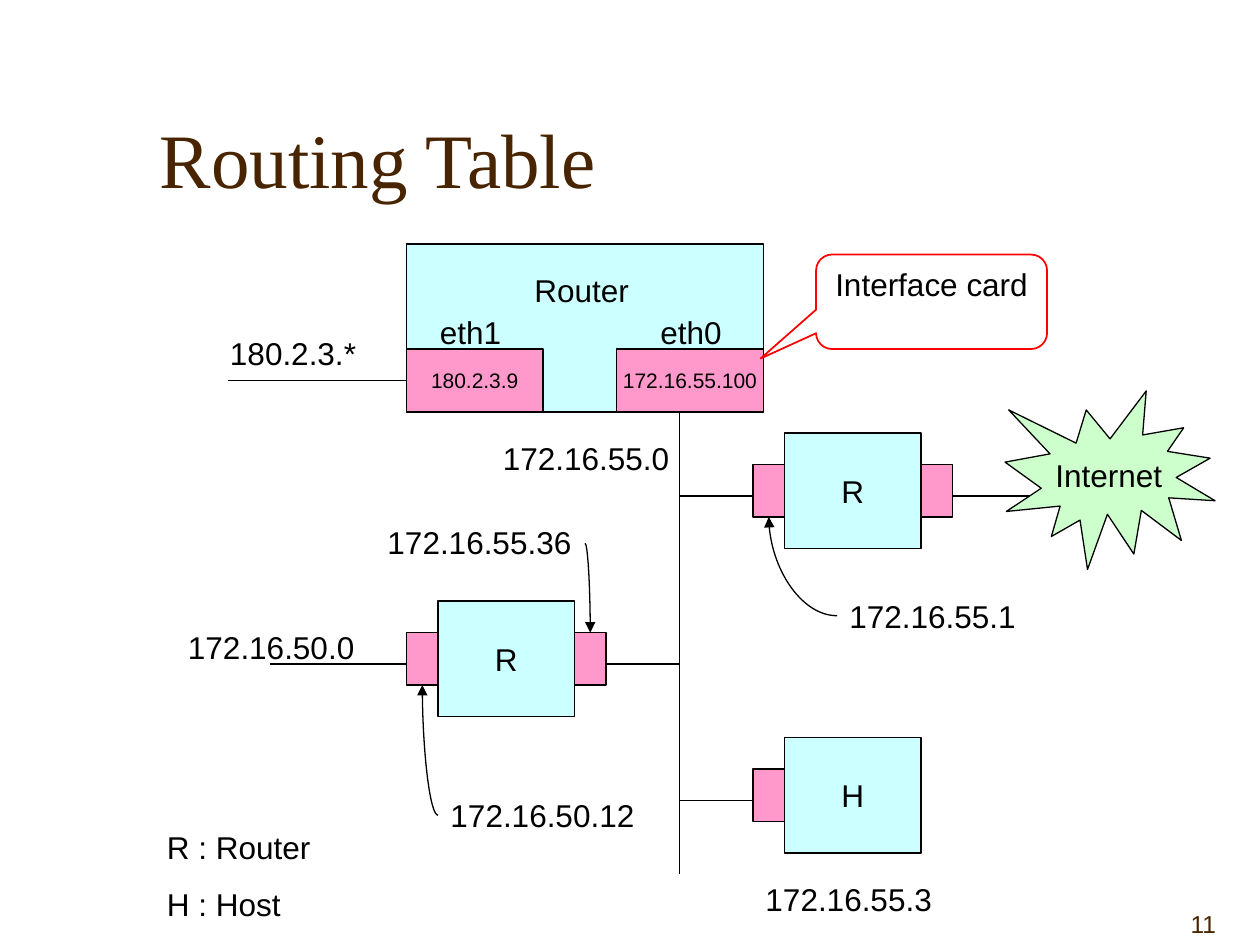
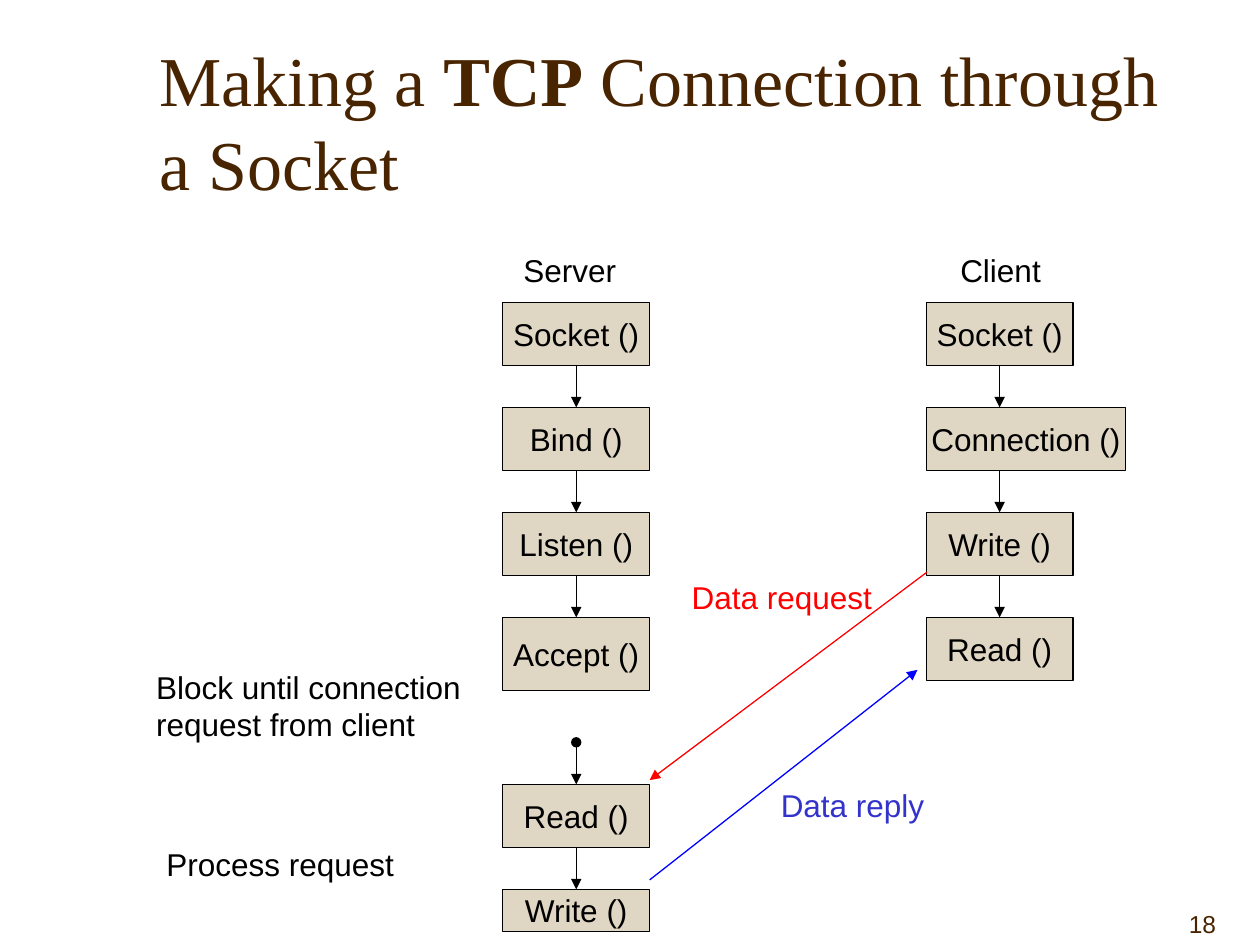
from dataclasses import dataclass
from pptx import Presentation
from pptx.dml.color import RGBColor
from pptx.enum.shapes import MSO_CONNECTOR, MSO_SHAPE
from pptx.enum.text import MSO_ANCHOR, MSO_AUTO_SIZE, PP_ALIGN
from pptx.oxml.ns import qn
from pptx.util import Inches, Pt
from lxml.etree import SubElement


@dataclass(frozen=True)
class Theme:
    black: str = "000000"
    brown: str = "482400"
    cyan: str = "CCFFFF"
    pink: str = "FF99CC"
    green: str = "CCFFCC"
    sand: str = "DFD6C3"
    red: str = "FF0000"
    blue: str = "0000FF"
    indigo: str = "3333CC"
    head_font: str = "Times New Roman"
    body_font: str = "Arial"
    body: int = 18
    small: int = 12
    number: int = 14
    para_gap: float = 11.2
    line: float = 0.75


T = Theme()
CELL = 1 / 12  # grid cell in inches
LABEL_H = 4.8

# Network slide, in cells: col, row, width, height
NETWORK_ORIGIN = (0.06, 0.02)
ROUTER = (38, 23, 34, 16)
ETH1 = ("180.2.3.9", (38, 33, 13, 6))
ETH0 = ("172.16.55.100", (58, 33, 14, 6))
NODES = [("R", 74, 41, "both"), ("R", 41, 57, "both"), ("H", 74, 70, "left")]
NODE_W, NODE_H = 13, 11
CARD_W, CARD_H = 3, 5
INTERNET = (95, 37, 20, 17)
CALLOUT = (77, 24, 22, 9)
CALLOUT_SHAPE = (-0.74, 0.6, 0.17)
WIRES = [
    ((64, 39), (64, 83)),
    ((57, 63), (64, 63)),
    ((64, 47), (71, 47)),
    ((64, 76), (71, 76)),
    ((25, 63), (38, 63)),
    ((90, 47), (98, 47)),
]
POINTERS = [((79, 58.4), (72.5, 49)), ((55, 51.5), (55.5, 60)), ((41, 77.4), (39.5, 65))]
NETWORK_LABELS = [
    ("Router", 49, 25, 12),
    ("eth1", 40, 29, 9),
    ("eth0", 61, 29, 9),
    ("180.2.3.*", 20, 31, 15),
    ("172.16.55.0", 46, 41, 19),
    ("172.16.55.1", 79, 56, 19),
    ("172.16.55.3", 71, 83, 20),
    ("172.16.55.36", 35, 49, 20),
    ("172.16.50.12", 41, 75, 20),
    ("172.16.50.0", 16, 59, 20),
    ("R : Router\nH : Host", 14, 78, 20),
]

# Socket slide, in cells from the first server box: name, row, width, height
SOCKET_ORIGIN = (3.99, 2.4)
CLIENT_COL = 40.33
STEP_W = 14
SERVER_STEPS = [
    ("Socket ()", 0, 14, 6),
    ("Bind ()", 10, 14, 6),
    ("Listen ()", 20, 14, 6),
    ("Accept ()", 30, 14, 7),
    ("Read ()", 45.9, 14, 6),
    ("Write ()", 55.9, 14, 4),
]
CLIENT_STEPS = [
    ("Socket ()", 0, 14, 6),
    ("Connection ()", 10, 19, 6),
    ("Write ()", 20, 14, 6),
    ("Read ()", 30, 14, 6),
]
WAIT_ROW = 41.9
MESSAGES = [
    ((40.4, 25.7), (14, 45.5), T.red),
    ((14, 55), (39.5, 35), T.blue),
]
SOCKET_LABELS = [
    ("Server", 0.8, -5.5, 12, T.black),
    ("Client", 42.4, -5.5, 11, T.black),
    ("Block until connection request from client", -34.2, 34.2, 33, T.black),
    ("Process request", -33.2, 51.1, 25, T.black),
    ("Data request", 16.8, 25.7, 20, T.red),
    ("Data reply", 25.3, 45.5, 17, T.indigo),
]


def rgb(code):
    return RGBColor.from_string(code)


def style(p, size=T.body, color=T.black, font=T.body_font):
    for r in p.runs:
        r.font.size, r.font.name = Pt(size), font
        r.font.color.rgb = rgb(color)


class Board:
    """A slide whose parts are placed in grid cells from an origin."""

    def __init__(self, prs, origin, title, title_size, number):
        self.s = prs.slides.add_slide(prs.slide_layouts[6])
        self.origin = origin
        w, h = prs.slide_width / Inches(1), prs.slide_height / Inches(1)
        tf = self.frame(1.17, 0.42, 0.85 * w, h / 6)
        tf.vertical_anchor = MSO_ANCHOR.BOTTOM
        p = tf.paragraphs[0]
        for text, bold in title:
            r = p.add_run()
            r.text, r.font.bold = text, bold
        style(p, title_size, T.brown, T.head_font)
        tf = self.frame(7.67, h - 0.5, 2.08, 0.5)
        tf.vertical_anchor = MSO_ANCHOR.BOTTOM
        tf.text = str(number)
        p = tf.paragraphs[0]
        p.alignment = PP_ALIGN.RIGHT
        style(p, T.number, T.brown)

    def at(self, col, row):
        x, y = self.origin
        return Inches(x + col * CELL), Inches(y + row * CELL)

    def frame(self, *inches):
        tf = self.s.shapes.add_textbox(*map(Inches, inches)).text_frame
        tf.word_wrap = True
        return tf

    def label(self, text, col, row, width, color=T.black):
        box = self.s.shapes.add_textbox(
            *self.at(col, row), Inches(width * CELL), Inches(LABEL_H * CELL))
        tf = box.text_frame
        tf.word_wrap = True
        tf.auto_size = MSO_AUTO_SIZE.SHAPE_TO_FIT_TEXT
        tf.text = text
        for i, p in enumerate(tf.paragraphs):
            if i:
                p.space_before = Pt(T.para_gap)
            style(p, color=color)

    def shape(self, cells, fill, text="", size=T.body, kind=MSO_SHAPE.RECTANGLE,
              line=T.black, width=T.line):
        col, row, w, h = cells
        sp = self.s.shapes.add_shape(
            kind, *self.at(col, row), Inches(w * CELL), Inches(h * CELL))
        sp.shadow.inherit = False
        if fill:
            sp.fill.solid()
            sp.fill.fore_color.rgb = rgb(fill)
        else:
            sp.fill.background()
        sp.line.color.rgb, sp.line.width = rgb(line), Pt(width)
        if text:
            tf = sp.text_frame
            tf.word_wrap = False
            tf.vertical_anchor = MSO_ANCHOR.MIDDLE
            tf.text = text
            p = tf.paragraphs[0]
            p.alignment = PP_ALIGN.CENTER
            style(p, size)
        return sp

    def line(self, start, end, color=T.black, head=None, tail=None,
             kind=MSO_CONNECTOR.STRAIGHT):
        c = self.s.shapes.add_connector(kind, *self.at(*start), *self.at(*end))
        c.line.color.rgb, c.line.width = rgb(color), Pt(T.line)
        ln = c.line._get_or_add_ln()
        for tag, arrow in (("a:headEnd", head), ("a:tailEnd", tail)):
            if arrow:
                SubElement(ln, qn(tag), type=arrow)
        SubElement(c._element.spPr, qn("a:effectLst"))
        return c

    def pointer(self, start, end):
        """Quarter-turn curve leaving sideways and arriving vertically."""
        turned = end < start
        ends = (end, start) if turned else (start, end)
        c = self.line(*ends, tail="triangle", kind=MSO_CONNECTOR.CURVE)
        spPr = c._element.spPr
        spPr.find(qn("a:prstGeom")).set("prst", "curvedConnector2")
        if turned:
            spPr.find(qn("a:xfrm")).set("rot", str(180 * 60000))


def network_slide(prs):
    b = Board(prs, NETWORK_ORIGIN, [("Routing Table", False)], 44, 11)
    b.shape(ROUTER, T.cyan)
    eth1, _ = [b.shape(cells, T.pink, ip, T.small) for ip, cells in (ETH1, ETH0)]
    b.line((21, 36), (38, 36)).end_connect(eth1, 1)
    for start, end in WIRES:
        b.line(start, end)
    for name, col, row, sides in NODES:
        b.shape((col, row, NODE_W, NODE_H), T.cyan, name)
        cards = [col - CARD_W] + ([col + NODE_W] if sides == "both" else [])
        for card in cards:
            b.shape((card, row + 3, CARD_W, CARD_H), T.pink)
    b.shape(INTERNET, T.green, "Internet", kind=MSO_SHAPE.EXPLOSION1)
    callout = b.shape(CALLOUT, None, "Interface card", line=T.red, width=1,
                      kind=MSO_SHAPE.ROUNDED_RECTANGULAR_CALLOUT)
    callout.text_frame.vertical_anchor = MSO_ANCHOR.TOP
    for i, value in enumerate(CALLOUT_SHAPE):
        callout.adjustments[i] = value
    for start, end in POINTERS:
        b.pointer(start, end)
    for label in NETWORK_LABELS:
        b.label(*label)


def step_column(b, col, steps):
    """Stack the calls and join each to the next, with a pause after Accept."""
    boxes = [b.shape((col, row, w, h), T.sand, name) for name, row, w, h in steps]
    mid = col + STEP_W / 2
    for i, ((name, row, w, h), (_, next_row, next_w, _)) in enumerate(zip(steps, steps[1:])):
        waits = name == "Accept ()"
        c = b.line((mid, WAIT_ROW if waits else row + h), (mid, next_row),
                   head="oval" if waits else None, tail="triangle")
        if w == STEP_W and not waits:
            c.begin_connect(boxes[i], 2)
        if next_w == STEP_W:
            c.end_connect(boxes[i + 1], 0)


def socket_slide(prs):
    title = [("Making a ", False), ("TCP", True), (" Connection through a Socket", False)]
    b = Board(prs, SOCKET_ORIGIN, title, 40, 18)
    step_column(b, 0, SERVER_STEPS)
    step_column(b, CLIENT_COL, CLIENT_STEPS)
    for start, end, color in MESSAGES:
        b.line(start, end, color, tail="triangle")
    for label in SOCKET_LABELS:
        b.label(*label)


def main():
    prs = Presentation()
    prs.slide_width, prs.slide_height = Inches(10), Inches(7.5)
    network_slide(prs)
    socket_slide(prs)
    prs.save("out.pptx")


if __name__ == "__main__":
    main()
